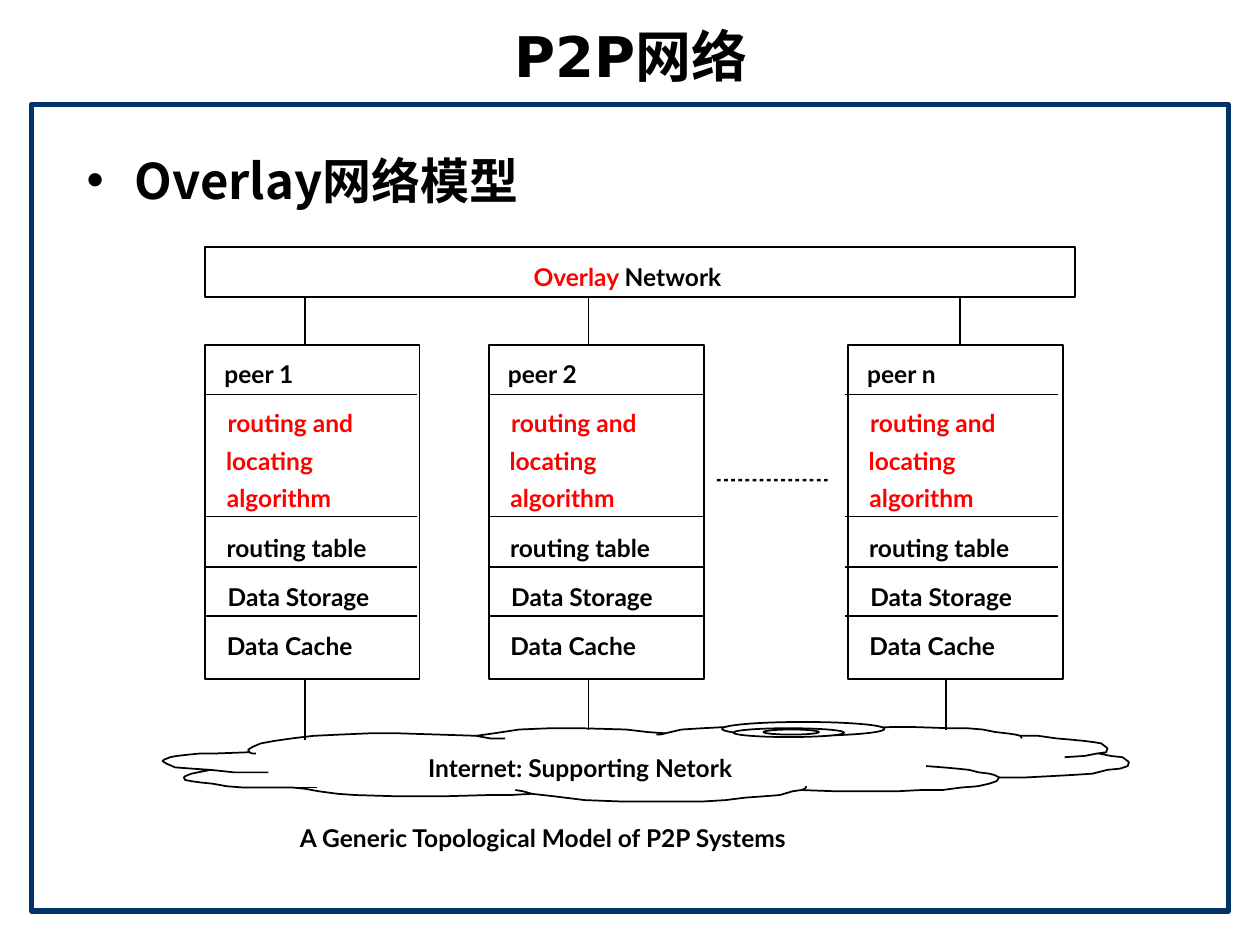
from dataclasses import dataclass

from lxml.etree import SubElement
from pptx import Presentation
from pptx.dml.color import RGBColor
from pptx.enum.shapes import MSO_CONNECTOR as Conn, MSO_SHAPE as Kind
from pptx.enum.text import MSO_ANCHOR as Anchor, MSO_AUTO_SIZE as Auto, PP_ALIGN as Align
from pptx.oxml.ns import qn
from pptx.util import Inches, Pt

BLACK = RGBColor(0, 0, 0)
WHITE = RGBColor(255, 255, 255)
RED = RGBColor(255, 0, 0)
NAVY = RGBColor(0, 51, 102)
LATO, DEJA, NOTO = "Lato", "DejaVu Sans", "Noto Sans CJK SC"
UNIT = Inches(0.01)

Point = tuple[int, int]


@dataclass
class Peer:
    name: str
    left: float
    width: float
    start: float
    end: float
    top_x: float
    low_x: float
    low_y: float


@dataclass
class Row:
    text: str
    top: float
    width: float
    color: RGBColor = BLACK


PEERS = [
    Peer("peer 1", 1.63, 1.7, 1.63, 3.31, 2.42, 2.42, 5.87),
    Peer("peer 2", 3.88, 1.71, 3.88, 5.58, 4.67, 4.67, 5.79),
    Peer("peer n", 6.73, 1.71, 6.71, 8.4, 7.62, 7.51, 5.79),
]
ROWS = [
    Row("routing and", 3.24, 1.07, RED),
    Row("locating", 3.54, 0.74, RED),
    Row("algorithm", 3.83, 0.89, RED),
    Row("routing table", 4.23, 1.17),
    Row("Data Storage", 4.62, 1.2),
    Row("Data Cache", 5.01, 1.06),
]
RULES = [3.13, 4.1, 4.5, 4.89]
RINGS = [(5.73, 5.73, 1.29, 0.11), (5.82, 5.78, 0.88, 0.07), (6.06, 5.79, 0.44, 0.04)]

# Cloud points are in hundredths of an inch.
CLOUD = [
    (198, 597), (171, 598), (159, 598), (149, 599), (140, 600), (135, 601), (130, 603),
    (129, 604), (132, 606), (139, 609), (152, 610), (167, 611), (157, 613), (152, 614),
    (147, 616), (146, 617), (147, 619), (152, 620), (159, 621), (169, 622), (180, 624),
    (193, 625), (208, 625), (224, 625), (232, 625), (242, 626), (253, 628), (268, 630),
    (282, 631), (316, 632), (351, 632), (388, 631), (405, 631), (422, 630), (431, 631),
    (440, 632), (464, 635), (491, 636), (521, 636), (559, 636), (576, 635), (592, 633),
    (606, 632), (619, 631), (629, 628), (636, 627), (663, 628), (691, 628), (712, 628),
    (731, 627), (748, 627), (763, 625), (776, 624), (785, 622), (791, 620), (793, 617),
    (814, 617), (834, 616), (852, 615), (867, 614), (879, 611), (889, 610), (895, 608),
    (896, 605), (895, 604), (891, 601), (882, 600), (872, 598), (871, 598), (878, 597),
    (879, 594), (878, 593), (874, 590), (868, 589), (860, 588), (850, 587), (838, 586),
    (824, 584), (809, 584), (810, 584), (806, 583), (799, 582), (790, 581), (780, 579),
    (768, 578), (755, 578), (725, 577), (707, 577), (688, 578), (673, 579), (659, 581),
    (646, 579), (632, 578), (616, 577), (598, 577), (576, 577), (557, 578), (541, 579),
    (528, 582), (514, 581), (497, 579), (462, 578), (436, 578), (412, 579), (392, 582),
    (385, 583), (378, 584), (348, 583), (317, 582), (293, 582), (270, 583), (249, 584),
    (232, 586), (218, 588), (207, 590), (200, 593), (197, 595),
]
CURLS = [
    [(167, 611), (186, 613), (205, 613), (213, 613)],
    [(409, 627), (415, 628), (422, 630)],
    [(636, 627), (639, 626), (640, 624)],
    [(793, 617), (791, 616), (789, 615), (785, 614), (777, 613), (769, 611), (759, 610),
     (748, 609), (735, 608)],
    [(845, 601), (861, 600), (871, 598)],
    [(811, 586), (810, 584)],
    [(659, 581), (651, 582), (646, 582)],
    [(528, 582), (524, 583), (521, 583)],
    [(401, 586), (389, 586), (378, 584)],
    [(198, 597), (200, 598), (203, 598)],
]

deck = Presentation()
deck.slide_width, deck.slide_height = Inches(10), Inches(7.5)
slide = deck.slides.add_slide(deck.slide_layouts[6])
shapes = slide.shapes


def add_box(kind: Kind, left: float, top: float, width: float, height: float,
            fill: RGBColor = WHITE, line: RGBColor | None = BLACK, weight: float = 1) -> None:
    box = shapes.add_shape(kind, Inches(left), Inches(top), Inches(width), Inches(height))
    box.shadow.inherit = False
    box.fill.solid()
    box.fill.fore_color.rgb = fill
    if line is None:
        box.line.fill.background()
    else:
        box.line.color.rgb = line
        box.line.width = Pt(weight)


def add_line(x1: float, y1: float, x2: float, y2: float) -> None:
    line = shapes.add_connector(Conn.STRAIGHT, Inches(x1), Inches(y1), Inches(x2), Inches(y2))
    line.line.color.rgb = BLACK
    line.line.width = Pt(1)
    SubElement(line._element.spPr, qn("a:effectLst"))


def add_path(points: list[Point], closed: bool = False) -> None:
    """Draw an open stroke, or a white outline when closed."""
    pen = shapes.build_freeform(*points[0], scale=UNIT)
    pen.add_line_segments(points[1:], close=closed)
    path = pen.convert_to_shape()
    path.shadow.inherit = False
    if closed:
        path.fill.solid()
        path.fill.fore_color.rgb = WHITE
    else:
        path.fill.background()
    path.line.color.rgb = BLACK
    path.line.width = Pt(1)


def add_text(parts: list[tuple[str, RGBColor]], left: float, top: float, width: float,
             height: float = 0.23, size: int = 14, font: str = LATO, tight: bool = True):
    """Place one bold line of coloured parts; tight means no insets or wrap."""
    box = shapes.add_textbox(Inches(left), Inches(top), Inches(width), Inches(height))
    frame = box.text_frame
    frame.word_wrap = not tight
    if tight:
        frame.auto_size = Auto.SHAPE_TO_FIT_TEXT
        frame.margin_left = frame.margin_right = frame.margin_top = frame.margin_bottom = 0
    para = frame.paragraphs[0]
    para.alignment = Align.CENTER
    for text, color in parts:
        run = para.add_run()
        run.text = text
        run.font.size, run.font.bold, run.font.name = Pt(size), True, font
        run.font.color.rgb = color
        SubElement(run.font._element, qn("a:ea"), typeface=NOTO)
    return frame


def add_peer(peer: Peer) -> None:
    add_box(Kind.RECTANGLE, peer.left, 2.74, peer.width, 2.65)
    inset = peer.left + 0.14
    add_text([(peer.name, BLACK)], inset, 2.85, 0.57)
    for row in ROWS:
        add_text([(row.text, row.color)], inset, row.top, row.width)
    for y in RULES:
        add_line(peer.start, y, peer.end, y)
    add_line(peer.top_x, 2.74, peer.top_x, 2.35)
    add_line(peer.low_x, 5.38, peer.low_x, peer.low_y)


add_box(Kind.RECTANGLE, 0.25, 0.83, 9.5, 6.4, line=NAVY, weight=3)

topic = add_text([("Overlay网络模型", BLACK)], 0.59, 0.91, 9, 5.99, 28, NOTO, False)
para = topic.paragraphs[0]
para.alignment = Align.LEFT
para.line_spacing = 1.5
props = para._p.get_or_add_pPr()
props.set("marL", str(Inches(0.38)))
props.set("indent", str(Inches(-0.38)))
SubElement(props, qn("a:buFont"), typeface="Arial")
SubElement(props, qn("a:buChar"), char="•")

title = add_text([("P2P网络", BLACK)], 0.27, 0.13, 9.48, 0.62, 32, DEJA, False)
title.vertical_anchor = Anchor.MIDDLE

add_box(Kind.RECTANGLE, 1.63, 1.96, 6.9, 0.4)
add_text([("Overlay ", RED), ("Network", BLACK)], 4.18, 2.08, 1.6)

add_path(CLOUD, closed=True)
for curl in CURLS:
    add_path(curl)
add_line(2.32, 6.25, 2.52, 6.25)
for ring in RINGS:
    add_box(Kind.OVAL, *ring)
add_text([("Internet: Supporting Netork", BLACK)], 3.34, 5.98, 2.53)
add_text([("A Generic Topological Model of P2P Systems", BLACK)], 2.22, 6.53, 4.18)

for peer in PEERS:
    add_peer(peer)
for i in range(16):
    add_box(Kind.RECTANGLE, 5.69 + i * 0.85 / 15, 3.8, 0.03, 0.02, BLACK, None)

deck.save("out.pptx")
